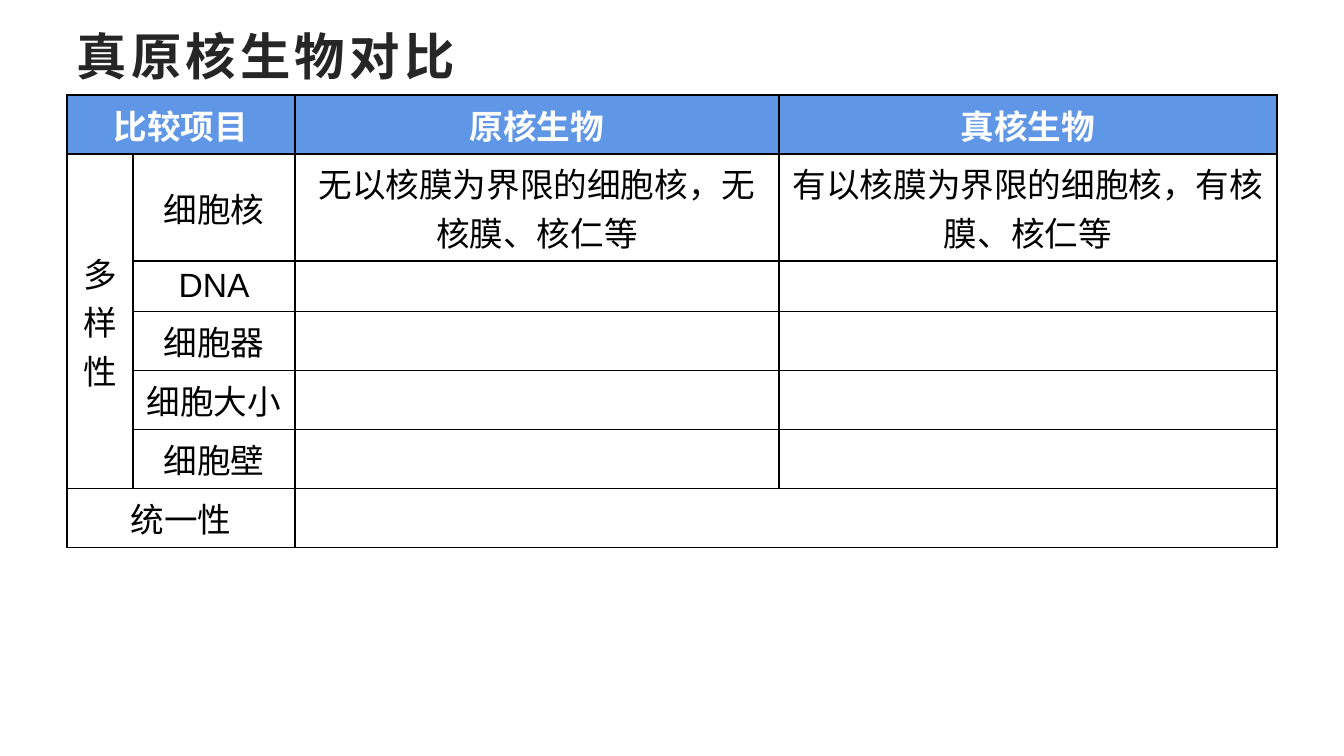
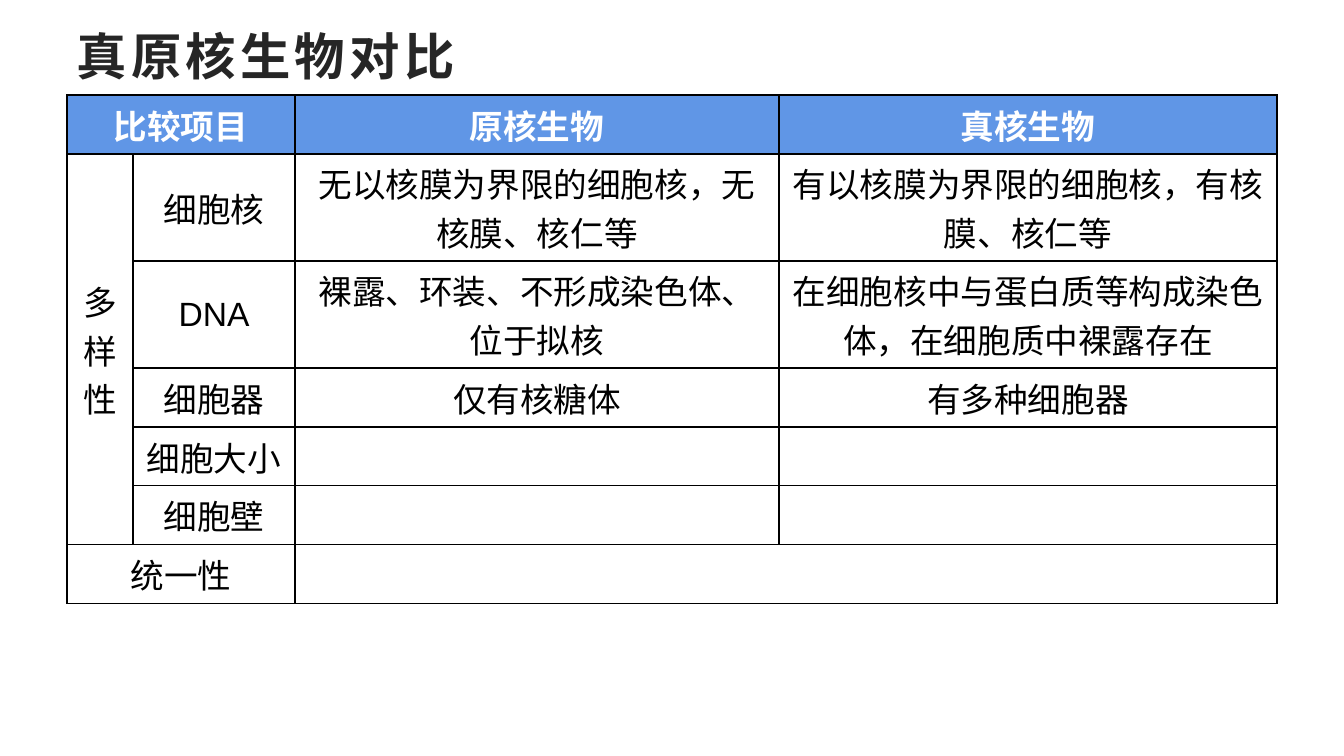
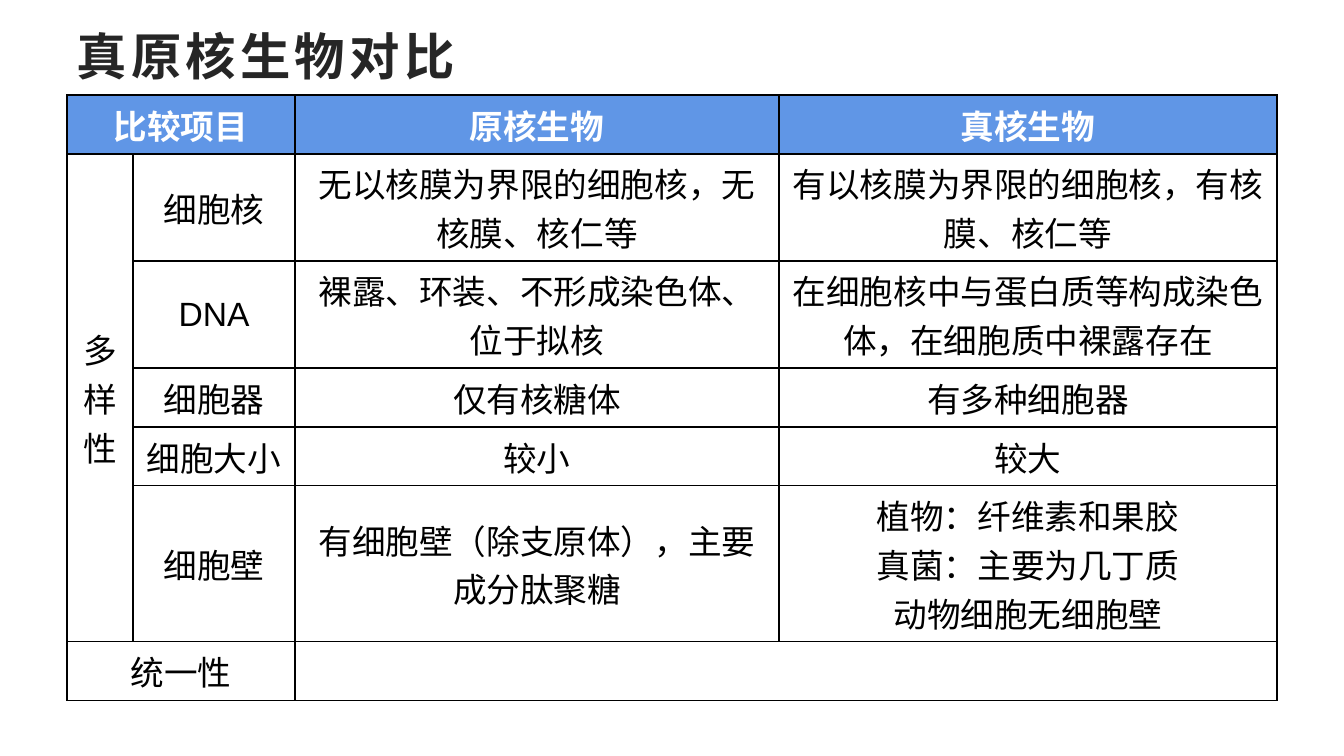
from dataclasses import dataclass

from lxml.etree import SubElement
from pptx import Presentation
from pptx.dml.color import RGBColor as Rgb
from pptx.enum.lang import MSO_LANGUAGE_ID as Lang
from pptx.enum.text import MSO_ANCHOR as Anchor, PP_ALIGN as Align
from pptx.oxml.ns import qn
from pptx.util import Emu, Pt


@dataclass(frozen=True)
class Theme:
    font: str = "Arial"
    ink: str = "000000"
    title: str = "262626"
    white: str = "FFFFFF"
    head: str = "6096E6"
    big: int = 36
    body: int = 24
    rule: int = 1


THEME = Theme()
WIDE, HIGH = 1344, 756
COLS = (66, 162, 484, 498)
LATIN, ONE, TWO, THREE = 48, 59, 107, 156  # row heights by lines of text
TITLE = "真原核生物对比"
HEADS = ("比较项目", "", "原核生物", "真核生物")
GROUP = "多样性"
UNITY = "统一性"
# height while blank, height once answered, name, two answers
TRAITS = (
    (ONE, TWO, "细胞核", "无以核膜为界限的细胞核，无核膜、核仁等",
     "有以核膜为界限的细胞核，有核膜、核仁等"),
    (LATIN, TWO, "DNA", "裸露、环装、不形成染色体、位于拟核",
     "在细胞核中与蛋白质等构成染色体，在细胞质中裸露存在"),
    (ONE, ONE, "细胞器", "仅有核糖体", "有多种细胞器"),
    (ONE, ONE, "细胞大小", "较小", "较大"),
    (ONE, THREE, "细胞壁", "有细胞壁（除支原体），主要成分肽聚糖",
     "植物：纤维素和果胶\n真菌：主要为几丁质\n动物细胞无细胞壁"),
)
SHOWN = (1, 3, 5)


def px(num):
    return Emu(round(num * 914400 / 100.8))


def write(frame, text, size=THEME.body, color=THEME.ink, bold=False,
          align=Align.CENTER, gap=0):
    """Fill a text frame, one paragraph a line; gap is letter spacing in points."""
    frame.text = text
    for para in frame.paragraphs:
        para.alignment = align
        for run in para.runs:
            font = run.font
            font.name, font.size, font.bold = THEME.font, Pt(size), bold
            font.color.rgb = Rgb.from_string(color)
            font.language_id = Lang.SIMPLIFIED_CHINESE
            if gap:
                run._r.get_or_add_rPr().set("spc", str(gap * 100))


def add_title(slide):
    frame = slide.shapes.add_textbox(px(67), px(16), px(1210), px(78)).text_frame
    frame.word_wrap = True
    frame.vertical_anchor = Anchor.MIDDLE
    write(frame, TITLE, size=THEME.big, color=THEME.title, bold=True,
          align=Align.LEFT, gap=3)


def edge(cell):
    """Draw the four borders; they must come before the fill."""
    props = cell._tc.get_or_add_tcPr()
    for side in ("a:lnL", "a:lnR", "a:lnT", "a:lnB"):
        line = SubElement(props, qn(side), w=str(Pt(THEME.rule)))
        fill = SubElement(line, qn("a:solidFill"))
        SubElement(fill, qn("a:srgbClr"), val=THEME.ink)


def style(cell, text, head):
    edge(cell)
    cell.vertical_anchor = Anchor.MIDDLE
    if head:
        cell.fill.solid()
        cell.fill.fore_color.rgb = Rgb.from_string(THEME.head)
    else:
        cell.fill.background()
    if text:
        write(cell.text_frame, text, bold=head,
              color=THEME.white if head else THEME.ink)


def grid(shown):
    """Return (height, texts) rows with the first few traits answered."""
    rows = [(ONE, HEADS)]
    for num, (blank, full, name, *facts) in enumerate(TRAITS):
        group = "" if num else GROUP
        if num < shown:
            rows.append((full, (group, name, *facts)))
        else:
            rows.append((blank, (group, name, "", "")))
    return rows + [(ONE, (UNITY, "", "", ""))]


def add_grid(slide, rows):
    last = len(rows) - 1
    table = slide.shapes.add_table(
        len(rows), len(COLS), px(67), px(95), px(sum(COLS)),
        px(sum(high for high, _ in rows))).table
    table.first_row = table.horz_banding = False
    for col, width in zip(table.columns, COLS):
        col.width = px(width)
    for top, (high, texts) in enumerate(rows):
        table.rows[top].height = px(high)
        for left, text in enumerate(texts):
            style(table.cell(top, left), text, head=top == 0)
    spans = (((0, 0), (0, 1)), ((1, 0), (last - 1, 0)),
             ((last, 0), (last, 1)), ((last, 2), (last, 3)))
    for start, end in spans:
        table.cell(*start).merge(table.cell(*end))


def main():
    deck = Presentation()
    deck.slide_width, deck.slide_height = px(WIDE), px(HIGH)
    for shown in SHOWN:
        slide = deck.slides.add_slide(deck.slide_layouts[6])
        add_title(slide)
        add_grid(slide, grid(shown))
    deck.save("out.pptx")


if __name__ == "__main__":
    main()
